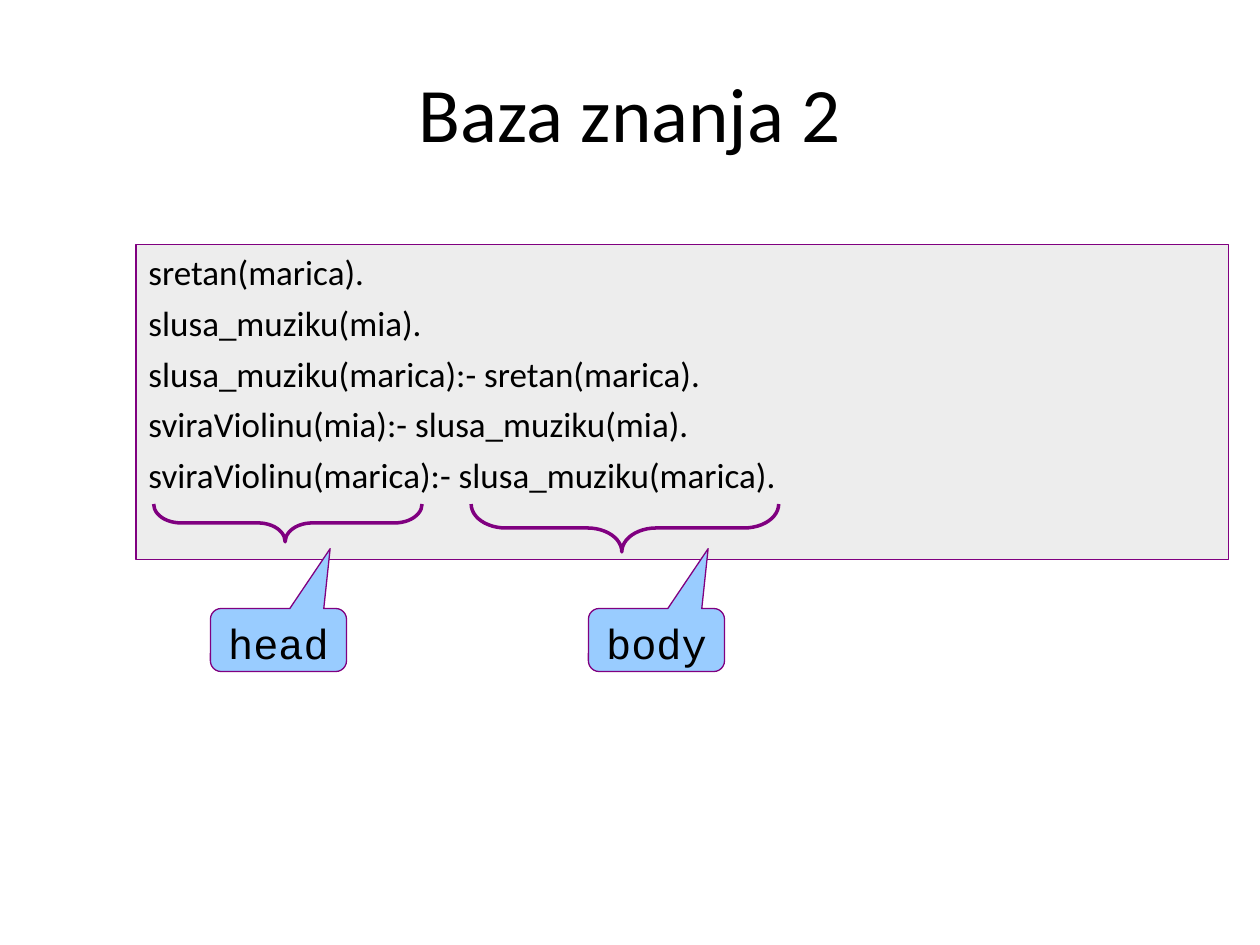
from dataclasses import dataclass

from lxml import etree
from pptx import Presentation
from pptx.dml.color import RGBColor
from pptx.enum.shapes import MSO_SHAPE
from pptx.enum.text import MSO_ANCHOR, PP_ALIGN
from pptx.oxml.ns import qn
from pptx.util import Inches, Pt

RECTANGLE = MSO_SHAPE.RECTANGLE
CALLOUT = MSO_SHAPE.ROUNDED_RECTANGULAR_CALLOUT
BRACE = MSO_SHAPE.LEFT_BRACE
TOP, MIDDLE = MSO_ANCHOR.TOP, MSO_ANCHOR.MIDDLE
LEFT, CENTER = PP_ALIGN.LEFT, PP_ALIGN.CENTER


@dataclass(frozen=True)
class Theme:
    ink: RGBColor = RGBColor(0x00, 0x00, 0x00)
    accent: RGBColor = RGBColor(0x80, 0x00, 0x80)
    panel: RGBColor = RGBColor(0xDD, 0xDD, 0xDD)
    label: RGBColor = RGBColor(0x99, 0xCC, 0xFF)
    body_font: str = "Calibri"
    code_font: str = "Courier New"
    title_size: int = 44
    clause_size: int = 20
    label_size: int = 24
    thin: float = 0.75
    thick: float = 2


class ClausePage:
    """Places elements on a grid of one-inch columns and rows."""

    def __init__(self, deck, theme):
        self.theme = theme
        self.shapes = deck.slides.add_slide(deck.slide_layouts[6]).shapes

    def set_text(self, box, text, font, size, align, anchor, before=0):
        frame = box.text_frame
        frame.word_wrap = True
        frame.vertical_anchor = anchor
        frame.text = text
        for para in frame.paragraphs:
            para.alignment = align
            para.space_before = Pt(before)
            for span in para.runs:
                span.font.name = font
                span.font.size = Pt(size)
                span.font.color.rgb = self.theme.ink

    def shape(self, kind, area, fill=None, weight=None):
        shape = self.shapes.add_shape(kind, *map(Inches, area))
        shape.shadow.inherit = False
        if fill is None:
            shape.fill.background()
        else:
            shape.fill.solid()
            shape.fill.fore_color.rgb = fill
        shape.line.color.rgb = self.theme.accent
        shape.line.width = Pt(weight or self.theme.thin)
        return shape

    def title(self, text, area):
        box = self.shapes.add_textbox(*map(Inches, area))
        self.set_text(box, text, self.theme.body_font, self.theme.title_size,
                      CENTER, MIDDLE)

    def clauses(self, lines, area):
        panel = self.shape(RECTANGLE, area, self.theme.panel)
        color = panel.element.spPr.find(qn("a:solidFill"))[0]
        etree.SubElement(color, qn("a:alpha")).set("val", "50000")
        self.set_text(panel, "\n".join(lines), self.theme.body_font,
                      self.theme.clause_size, LEFT, TOP, before=5)

    def callout(self, text, area):
        box = self.shape(CALLOUT, area, self.theme.label)
        for index, value in enumerate((0.38, -1.45, 0.17)):
            box.adjustments[index] = value
        self.set_text(box, text, self.theme.code_font, self.theme.label_size,
                      CENTER, TOP, before=6)

    def underbrace(self, left, top, width, depth):
        # A left brace turned a quarter to the left points down
        area = (left + (width - depth) / 2, top + (depth - width) / 2,
                depth, width)
        brace = self.shape(BRACE, area, weight=self.theme.thick)
        brace.rotation = 270
        brace.adjustments[0] = 0.72
        brace.adjustments[1] = 0.49


def main():
    deck = Presentation()
    deck.slide_width, deck.slide_height = Inches(10), Inches(7.5)
    page = ClausePage(deck, Theme())

    # Title and knowledge base
    page.title("Baza znanja 2", (0.5, 0.3, 9, 1.17))
    page.clauses([
        "sretan(marica).",
        "slusa_muziku(mia).",
        "slusa_muziku(marica):- sretan(marica).",
        "sviraViolinu(mia):- slusa_muziku(mia).",
        "sviraViolinu(marica):- slusa_muziku(marica).",
    ], (1.08, 1.94, 8.67, 2.5))

    # Parts of the last clause
    for column, text in enumerate(("head", "body")):
        page.callout(text, (1.67 + 3 * column, 4.83, 1.08, 0.5))
    for left, width, depth in ((1.22, 2.13, 0.3), (3.74, 2.44, 0.38)):
        page.underbrace(left, 4, width, depth)

    deck.save("out.pptx")


if __name__ == "__main__":
    main()
